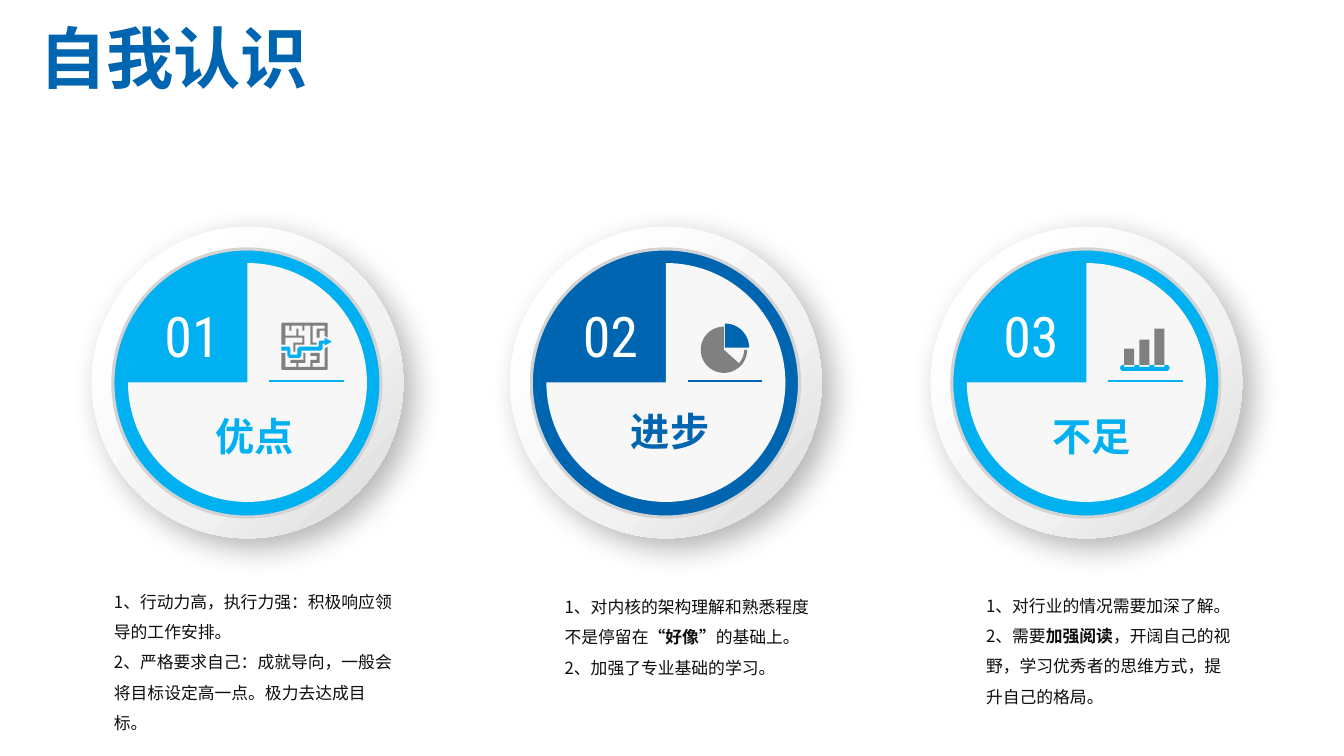
import copy
import math

from pptx import Presentation
from pptx.dml.color import RGBColor
from pptx.enum import shapes, text
from pptx.oxml import ns, xmlchemy
from pptx.util import Inches, Pt

COLORS = {"sky": "00B0F0", "navy": "0065B0", "gray": "808080", "ring": "D3D3D3",
          "face": "F7F7F7", "ink": "0D0D0D", "white": "FFFFFF",
          "pale": "F2F2F2", "silver": "D9D9D9", "black": "000000"}
CJK, NUMERAL = "Noto Sans CJK SC", "Roboto Condensed"
DISC_TOP, DISC = 2.25, 3.09

# Icon outlines, in hundredths of an inch from the icon's corner
MAZE = [
    [(43, 3), (31, 3), (31, 20), (35, 20), (35, 22), (29, 22), (29, 3), (23, 3), (23, 8),
     (21, 8), (21, 3), (10, 3), (10, 8), (8, 8), (8, 3), (4, 3), (4, 13), (15, 13), (15, 6),
     (17, 6), (17, 13), (23, 13), (23, 22), (14, 22), (14, 29), (12, 29), (12, 20), (21, 20),
     (21, 15), (4, 15), (4, 22), (0, 22), (0, 1), (1, 0), (45, 0), (46, 1), (46, 15),
     (43, 13), (43, 8), (38, 8), (38, 15), (35, 15), (35, 6), (43, 6)],
    [(10, 40), (9, 40), (9, 37), (22, 37), (22, 30), (24, 30), (24, 40), (17, 40), (17, 44),
     (29, 44), (29, 37), (35, 37), (35, 33), (29, 33), (29, 30), (38, 30), (38, 40), (31, 40),
     (31, 44), (43, 44), (43, 26), (46, 24), (46, 46), (45, 47), (1, 47), (0, 46), (0, 30),
     (4, 30), (4, 44), (15, 44), (15, 40)]]
MAZE_ARROW = [
    (43, 21), (41, 21), (41, 26), (39, 28), (20, 28), (20, 33), (18, 35), (8, 35), (6, 33),
    (6, 28), (0, 28), (0, 24), (8, 24), (9, 26), (9, 32), (16, 32), (16, 26), (18, 24),
    (37, 24), (37, 19), (39, 18), (43, 18), (43, 15), (50, 19), (43, 23)]


def rgb(color):
    return RGBColor.from_string(COLORS[color])


def add_xml(parent, tag, **attrs):
    child = xmlchemy.OxmlElement(tag)
    for key, value in attrs.items():
        child.set(key, str(value))
    parent.append(child)
    return child


def paint(s, color):
    s.shadow.inherit = False
    s.line.fill.background()
    s.fill.solid()
    s.fill.fore_color.rgb = rgb(color)
    return s


def add_shape(slide, kind, x, y, w, h, color):
    s = slide.shapes.add_shape(kind, Inches(x), Inches(y), Inches(w), Inches(h))
    return paint(s, color)


def add_outline(slide, x, y, contours, color):
    unit = Inches(0.01)
    builder = None
    for contour in contours:
        points = [(px * unit, py * unit) for px, py in contour]
        if builder is None:
            builder = slide.shapes.build_freeform(*points[0])
        else:
            builder.move_to(*points[0])
        builder.add_line_segments(points[1:], close=True)
    paint(builder.convert_to_shape(Inches(x), Inches(y)), color)


def arc(cx, cy, radius, start, end, steps=24):
    angles = [math.radians(start + (end - start) * i / steps) for i in range(steps + 1)]
    return [(cx + radius * math.cos(a), cy + radius * math.sin(a)) for a in angles]


def set_gradient(s, stops):
    s.fill.gradient()
    s.fill.gradient_angle = 315
    gs_list = s._element.spPr.find(".//" + ns.qn("a:gsLst"))
    while len(gs_list) < len(stops):
        gs_list.append(copy.deepcopy(gs_list[0]))
    for stop, (position, color) in zip(s.fill.gradient_stops, stops):
        stop.position = position
        stop.color.rgb = rgb(color)


def add_shadow(s):
    effects = s._element.spPr.find(ns.qn("a:effectLst"))
    outer = add_xml(effects, "a:outerShdw", blurRad=Pt(22), dist=Pt(10), dir=45 * 60000,
                    algn="tl", rotWithShape=0)
    tint = add_xml(outer, "a:srgbClr", val=COLORS["black"])
    add_xml(tint, "a:alpha", val=30000)


def add_run(p, words, size, color, font=CJK, bold=False):
    r = p.add_run()
    r.text = words
    r.font.size, r.font.bold, r.font.name = Pt(size), bold, font
    r.font.color.rgb = rgb(color)
    add_xml(r._r.get_or_add_rPr(), "a:ea", typeface=font)


def place(sp, x, y, w, h, wrap):
    sp.left, sp.top, sp.width, sp.height = map(Inches, (x, y, w, h))
    tf = sp.text_frame
    tf.word_wrap = wrap
    tf.auto_size = text.MSO_AUTO_SIZE.NONE
    tf.vertical_anchor = text.MSO_ANCHOR.TOP
    return tf


def add_label(slide, box, words, wrap=False, align=text.PP_ALIGN.LEFT, **style):
    sp = slide.shapes.add_textbox(0, 0, 0, 0)
    p = place(sp, *box, wrap).paragraphs[0]
    p.alignment = align
    add_run(p, words, **style)


def fill_list(sp, box, items):
    tf = place(sp, *box, True)
    for i, item in enumerate(items):
        p = tf.add_paragraph() if i else tf.paragraphs[0]
        pPr = p._p.get_or_add_pPr()
        for key in ("marL", "indent", "hangingPunct"):
            pPr.set(key, "0")
        add_xml(pPr, "a:buNone")
        p.line_spacing, p.space_before = 1.5, Pt(0)
        # Every second run is emphasised
        for k, words in enumerate(item):
            add_run(p, words, 12, "ink", bold=k % 2 == 1)


def draw_maze(slide, x, color):
    add_outline(slide, x + 1.88, 3.2, [MAZE_ARROW], color)
    add_outline(slide, x + 1.88, 3.2, MAZE, "gray")


def draw_pie(slide, x, color):
    cx, cy = x + 2.12, 3.47
    add_outline(slide, cx, cy, [arc(0, 0, 23, 0, 42) + arc(0, 0, 20, 42, 0)], "gray")
    add_outline(slide, cx + 0.01, cy - 0.02, [[(0, 0)] + arc(0, 0, 24, -90, 0)], color)
    add_outline(slide, cx, cy, [[(0, 0)] + arc(0, 0, 23, 42, 270)], "gray")


def draw_bars(slide, x, color):
    left, base = x + 1.88, 3.62
    slots = [(4 + 15 * i, 14 + 15 * i) for i in range(3)]
    notches = [pt for a, b in slots for pt in ((a, 0), (a, 2), (b, 2), (b, 0))]
    ends = arc(46, 3, 3, -90, 90) + arc(3, 3, 3, 90, 270)
    add_outline(slide, left, base, [notches + ends], color)
    for (start, _), height in zip(slots, (0.16, 0.25, 0.36)):
        add_shape(slide, shapes.MSO_SHAPE.RECTANGLE, left + start / 100, base - height,
                  0.1, height, "gray")


def add_dial(slide, x, color, number, name, name_at, draw_icon):
    oval = shapes.MSO_SHAPE.OVAL
    # Raised rim
    rims = [[(0, "white"), (1, "silver")],
            [(0.16, "white"), (0.62, "pale"), (1, "silver")]]
    for i, stops in enumerate(rims):
        s = add_shape(slide, oval, x, DISC_TOP, DISC, DISC, "white")
        set_gradient(s, stops)
        if i == 0:
            add_shadow(s)
    # Coloured disc and three-quarter face
    s = add_shape(slide, oval, x + 0.21, 2.47, 2.66, 2.66, color)
    s.line.color.rgb = rgb("ring")
    s.line.width = Pt(2.25)
    s = add_shape(slide, shapes.MSO_SHAPE.PIE, x + 0.36, 2.61, 2.37, 2.37, "face")
    s.adjustments[0], s.adjustments[1] = 0, 162
    s._element.spPr.xfrm.set("flipH", "1")
    # Number, rule, icon and name
    add_label(slide, (x + 0.43, 2.94, 1.13, 0.77), number, True, text.PP_ALIGN.CENTER,
              size=40, color="white", font=NUMERAL)
    rule = slide.shapes.add_connector(shapes.MSO_CONNECTOR.STRAIGHT, Inches(x + 1.76),
                                      Inches(3.78), Inches(x + 2.5), Inches(3.78))
    rule.line.color.rgb = rgb(color)
    rule.line.width = Pt(1.25)
    add_xml(rule._element.spPr, "a:effectLst")
    draw_icon(slide, x, color)
    add_label(slide, (*name_at, 0.97, 0.57), name, size=28, color=color, bold=True)


def main():
    prs = Presentation()
    prs.slide_width, prs.slide_height = Inches(13.33), Inches(7.5)
    slide = prs.slides.add_slide(prs.slide_layouts.get_by_name("Comparison"))

    # Title
    p = place(slide.shapes.title, 0.29, 0.11, 3, 0.9, False).paragraphs[0]
    p.alignment = text.PP_ALIGN.LEFT
    add_run(p, "自我认识", 48, "navy", bold=True)

    # Dials
    add_dial(slide, 0.91, "sky", "01", "优点", (2.04, 4.04), draw_maze)
    add_dial(slide, 5.06, "navy", "02", "进步", (6.16, 3.99), draw_pie)
    add_dial(slide, 9.23, "sky", "03", "不足", (10.34, 4.04), draw_bars)

    # Lists below the dials
    lists = [
        ((1.03, 5.72, 3.03, 1.2),
         [["1、行动力高，执行力强：积极响应领导的工作安排。"],
          ["2、严格要求自己：成就导向，一般会将目标设定高一点。极力去达成目标。"]]),
        ((5.5, 5.77, 2.65, 1.2),
         [["1、对内核的架构理解和熟悉程度不是停留在", "“好像”", "的基础上。"],
          ["2、加强了专业基础的学习。"]]),
        ((9.68, 5.76, 2.64, 1.49),
         [["1、对行业的情况需要加深了解。"],
          ["2、需要", "加强阅读", "，开阔自己的视野，学习优秀者的思维方式，提升自己的格局。"]])]
    bodies = [sp for sp in slide.placeholders if 1 <= sp.placeholder_format.idx <= 4]
    for sp, (box, items) in zip(bodies, lists):
        fill_list(sp, box, items)
    spare = bodies[-1]._element
    spare.getparent().remove(spare)

    prs.save("out.pptx")


if __name__ == "__main__":
    main()
